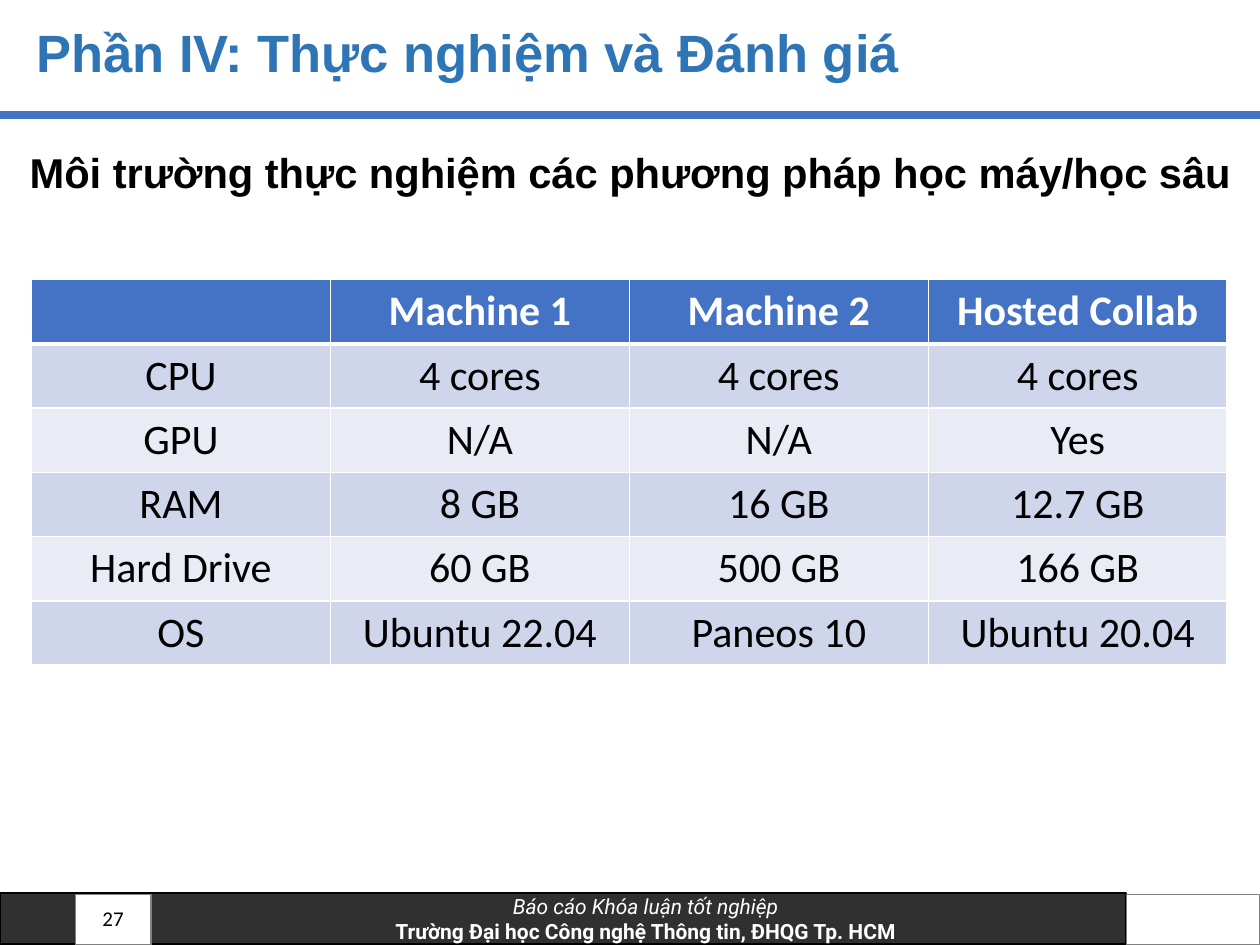
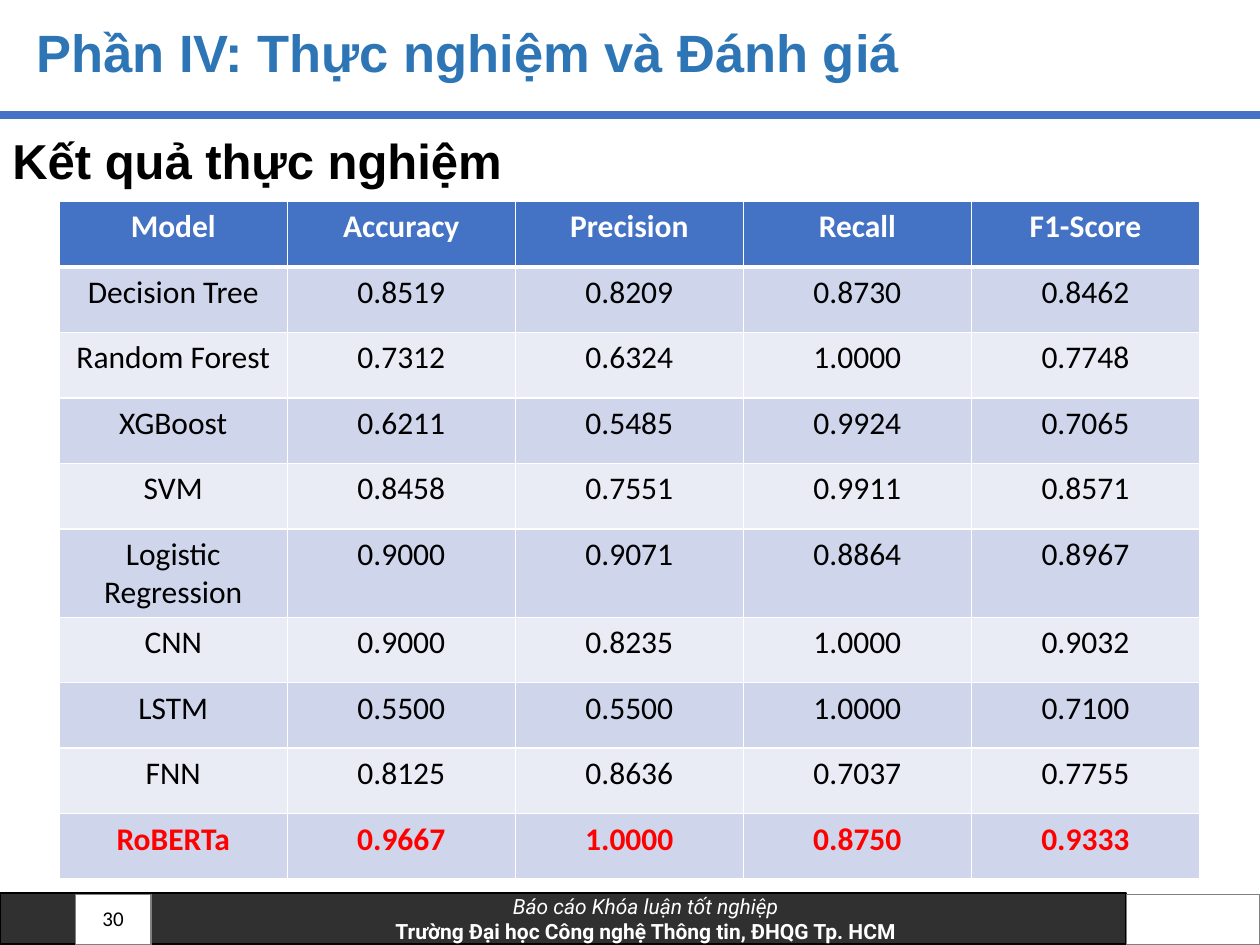
from lxml import etree
from pptx import Presentation
from pptx.dml.color import RGBColor
from pptx.enum.shapes import MSO_CONNECTOR, MSO_SHAPE
from pptx.enum.text import MSO_ANCHOR, PP_ALIGN
from pptx.oxml.ns import qn
from pptx.util import Inches, Pt

RECTANGLE = MSO_SHAPE.RECTANGLE
STRAIGHT = MSO_CONNECTOR.STRAIGHT
LEFT, CENTER, RIGHT = PP_ALIGN.LEFT, PP_ALIGN.CENTER, PP_ALIGN.RIGHT
TOP, MIDDLE = MSO_ANCHOR.TOP, MSO_ANCHOR.MIDDLE

BLACK = RGBColor(0x00, 0x00, 0x00)
WHITE = RGBColor(0xFF, 0xFF, 0xFF)
GRAY = RGBColor(0x80, 0x80, 0x80)
RED = RGBColor(0xFF, 0x00, 0x00)
TITLE_BLUE = RGBColor(0x2E, 0x75, 0xB6)
ACCENT_BLUE = RGBColor(0x44, 0x72, 0xC4)
ROW_BANDS = (RGBColor(0xCF, 0xD5, 0xEA), RGBColor(0xE9, 0xEB, 0xF5))

HEADING_FONT, TABLE_FONT, FOOTER_FONT = "Arial", "Calibri", "Roboto"

TITLE = "Phần IV: Thực nghiệm và Đánh giá"
FOOTER_LINES = (
    "Báo cáo Khóa luận tốt nghiệp",
    "Trường Đại học Công nghệ Thông tin, ĐHQG Tp. HCM",
)

MACHINES = [
    ("", "Machine 1", "Machine 2", "Hosted Collab"),
    ("CPU", "4 cores", "4 cores", "4 cores"),
    ("GPU", "N/A", "N/A", "Yes"),
    ("RAM", "8 GB", "16 GB", "12.7 GB"),
    ("Hard Drive", "60 GB", "500 GB", "166 GB"),
    ("OS", "Ubuntu 22.04", "Paneos 10", "Ubuntu 20.04"),
]
RESULTS = [
    ("Model", "Accuracy", "Precision", "Recall", "F1-Score"),
    ("Decision Tree", "0.8519", "0.8209", "0.8730", "0.8462"),
    ("Random Forest", "0.7312", "0.6324", "1.0000", "0.7748"),
    ("XGBoost", "0.6211", "0.5485", "0.9924", "0.7065"),
    ("SVM", "0.8458", "0.7551", "0.9911", "0.8571"),
    ("Logistic Regression", "0.9000", "0.9071", "0.8864", "0.8967"),
    ("CNN", "0.9000", "0.8235", "1.0000", "0.9032"),
    ("LSTM", "0.5500", "0.5500", "1.0000", "0.7100"),
    ("FNN", "0.8125", "0.8636", "0.7037", "0.7755"),
    ("RoBERTa", "0.9667", "1.0000", "0.8750", "0.9333"),
]

SLIDES = [
    {
        "number": "27",
        "heading": "Môi trường thực nghiệm các phương pháp học máy/học sâu",
        "heading_top": 1.19, "heading_size": 23.8,
        "heading_align": CENTER, "heading_spacing": 0.8,
        "rows": MACHINES, "table_at": (0.25, 2.22), "table_width": 9.49,
        "row_height": 0.51, "table_size": 24, "best_model": None,
    },
    {
        "number": "30",
        "heading": "Kết quả thực nghiệm",
        "heading_top": 1.04, "heading_size": 28,
        "heading_align": LEFT, "heading_spacing": 0.9,
        "rows": RESULTS, "table_at": (0.47, 1.6), "table_width": 9.05,
        "row_height": 0.52, "table_size": 18, "best_model": "RoBERTa",
    },
]


def style_runs(paragraph, font_name, size, color, bold=False, italic=False):
    for run in paragraph.runs:
        run.font.name = font_name
        run.font.size = Pt(size)
        run.font.color.rgb = color
        run.font.bold = bold
        run.font.italic = italic


def add_text(slide, text, box, font_name, size, color, bold=False,
             align=LEFT, anchor=TOP, spacing=1.0):
    text_frame = slide.shapes.add_textbox(*map(Inches, box)).text_frame
    text_frame.word_wrap = True
    text_frame.vertical_anchor = anchor
    text_frame.text = text
    paragraph = text_frame.paragraphs[0]
    paragraph.alignment = align
    paragraph.line_spacing = spacing
    style_runs(paragraph, font_name, size, color, bold)


def add_box(slide, box, fill_color, line_color):
    shape = slide.shapes.add_shape(RECTANGLE, *map(Inches, box))
    shape.shadow.inherit = False
    shape.fill.solid()
    shape.fill.fore_color.rgb = fill_color
    shape.line.color.rgb = line_color
    shape.line.width = Pt(1)
    return shape


def add_footer(slide, number):
    band = add_box(slide, (0, 7.09, 8.94, 0.4), BLACK, BLACK)
    fill_element = band.fill._xPr.find(qn("a:solidFill"))
    etree.SubElement(fill_element[0], qn("a:alpha"), val="81000")
    text_frame = band.text_frame
    text_frame.word_wrap = True
    text_frame.vertical_anchor = MIDDLE
    text_frame.margin_left = text_frame.margin_right = Inches(0.15)
    text_frame.margin_top = text_frame.margin_bottom = Inches(0.07)
    text_frame.text = "\n".join(FOOTER_LINES)
    for index, paragraph in enumerate(text_frame.paragraphs):
        paragraph.alignment = CENTER
        paragraph._p.get_or_add_pPr().set("marL", str(Inches(1.31)))
        style_runs(paragraph, FOOTER_FONT, 12, WHITE,
                   bold=index == 1, italic=index == 0)

    for left, width in ((0.6, 0.6), (8.94, 1.06)):
        add_box(slide, (left, 7.1, width, 0.4), WHITE, GRAY)
    add_text(slide, number, (0.64, 7.09, 0.44, 0.4), TABLE_FONT, 12, BLACK,
             align=RIGHT, anchor=MIDDLE)


def add_frame(slide, number):
    """Add the parts every slide shares: footer, rule and title."""
    add_footer(slide, number)
    rule = slide.shapes.add_connector(
        STRAIGHT, 0, Inches(0.91), Inches(10), Inches(0.91))
    rule.line.color.rgb = ACCENT_BLUE
    rule.line.width = Pt(4.5)
    etree.SubElement(rule._element.spPr, qn("a:effectLst"))
    add_text(slide, TITLE, (0.19, 0.16, 8.98, 0.56), HEADING_FONT, 30,
             TITLE_BLUE, bold=True, anchor=MIDDLE, spacing=0.9)


def set_borders(cell, top_width, bottom_width):
    properties = cell._tc.get_or_add_tcPr()
    widths = {"lnL": 1, "lnR": 1, "lnT": top_width, "lnB": bottom_width}
    for side, width in widths.items():
        line = etree.SubElement(properties, qn(f"a:{side}"), w=str(Pt(width)))
        fill = etree.SubElement(line, qn("a:solidFill"))
        etree.SubElement(fill, qn("a:srgbClr"), val=str(WHITE))


def add_banded_table(slide, rows, position, width, row_height, size, best_model):
    left, top = map(Inches, position)
    column_count = len(rows[0])
    table = slide.shapes.add_table(
        len(rows), column_count, left, top,
        Inches(width), Inches(row_height * len(rows))).table
    for column in table.columns:
        column.width = Inches(width / column_count)
    for row_index, values in enumerate(rows):
        table.rows[row_index].height = Inches(row_height)
        is_header = row_index == 0
        is_best = values[0] == best_model
        fill_color = ACCENT_BLUE if is_header else ROW_BANDS[(row_index - 1) % 2]
        text_color = WHITE if is_header else RED if is_best else BLACK
        for column_index, value in enumerate(values):
            cell = table.cell(row_index, column_index)
            set_borders(cell, 3 if row_index == 1 else 1, 3 if is_header else 1)
            cell.fill.solid()
            cell.fill.fore_color.rgb = fill_color
            cell.text_frame.text = value
            paragraph = cell.text_frame.paragraphs[0]
            paragraph.alignment = CENTER
            style_runs(paragraph, TABLE_FONT, size, text_color,
                       bold=is_header or is_best)


def main():
    presentation = Presentation()
    presentation.slide_width = Inches(10)
    presentation.slide_height = Inches(7.5)
    blank_layout = presentation.slide_layouts[6]
    for content in SLIDES:
        slide = presentation.slides.add_slide(blank_layout)
        add_frame(slide, content["number"])
        add_text(slide, content["heading"], (0, content["heading_top"], 10, 0.56),
                 HEADING_FONT, content["heading_size"], BLACK, bold=True,
                 align=content["heading_align"],
                 spacing=content["heading_spacing"])
        add_banded_table(slide, content["rows"], content["table_at"],
                         content["table_width"], content["row_height"],
                         content["table_size"], content["best_model"])
    presentation.save("out.pptx")


if __name__ == "__main__":
    main()
